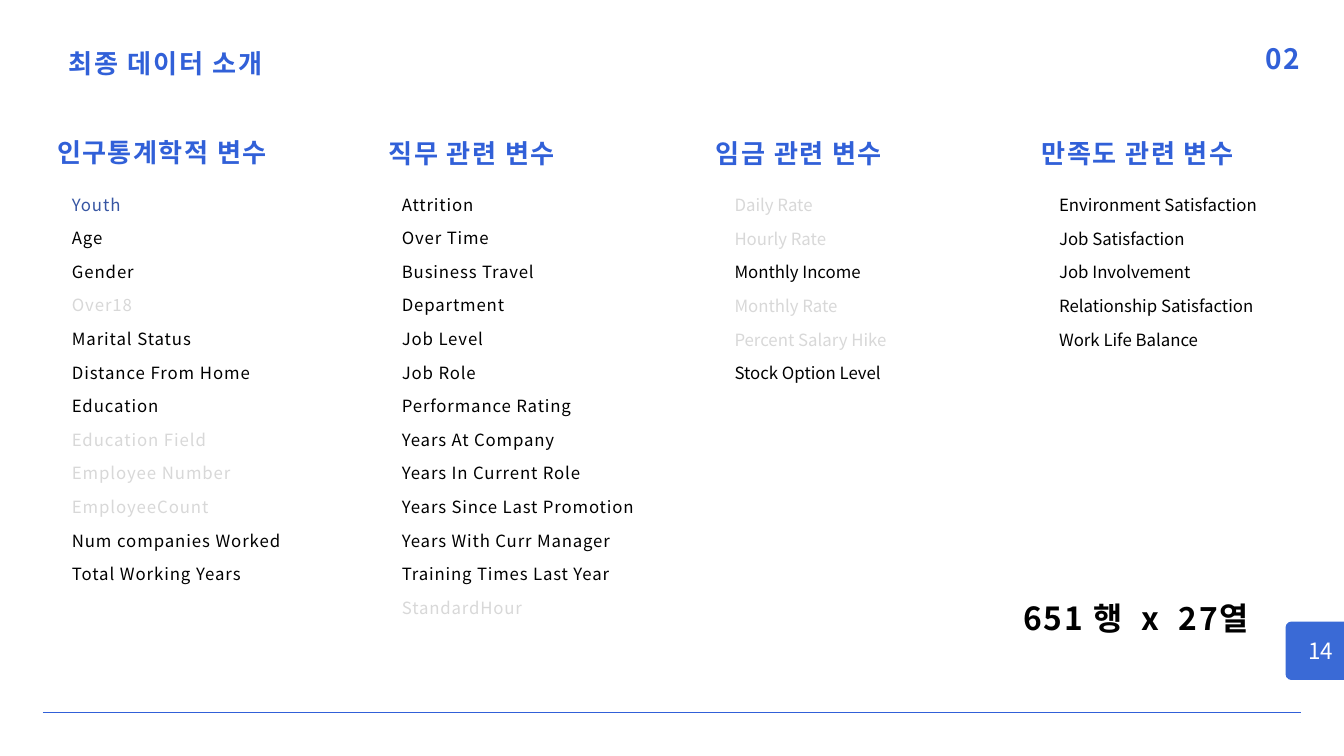
from pptx import Presentation
from pptx.dml.color import RGBColor
from pptx.enum.shapes import MSO_CONNECTOR, MSO_SHAPE
from pptx.enum.text import MSO_ANCHOR, MSO_AUTO_SIZE, PP_ALIGN as Align
from pptx.oxml.ns import qn
from pptx.util import Pt
from lxml.etree import SubElement

FONT = "Noto Sans CJK KR"
COLORS = {"blue": "3160D8", "badge": "3A6AD6", "derived": "3756A3",
          "kept": "000000", "dropped": "D8D8D8", "white": "FFFFFF"}
DERIVED = {"Youth"}
DROPPED = {"Over18", "Education Field", "Employee Number", "EmployeeCount",
           "StandardHour", "Daily Rate", "Hourly Rate", "Monthly Rate",
           "Percent Salary Hike"}

# heading, heading box, items box, item letter spacing, item alignment, items
COLUMNS = [
    ("인구통계학적 변수", (28.8, 146.9, 289.4, 34.6), (77, 193.7, 301, 430),
     1, Align.LEFT,
     ["Youth", "Age", "Gender", "Over18", "Marital Status",
      "Distance From Home", "Education", "Education Field", "Employee Number",
      "EmployeeCount", "Num companies Worked", "Total Working Years"]),
    ("직무 관련 변수", (380, 148.3, 251, 34.6), (430.6, 193.7, 304.6, 466),
     0.9, Align.LEFT,
     ["Attrition", "Over Time", "Business Travel", "Department", "Job Level",
      "Job Role", "Performance Rating", "Years At Company",
      "Years In Current Role", "Years Since Last Promotion",
      "Years With Curr Manager", "Training Times Last Year", "StandardHour"]),
    ("임금 관련 변수", (656.6, 148.3, 399, 34.6), (787, 194.4, 275.8, 213),
     0, Align.LEFT,
     ["Daily Rate", "Hourly Rate", "Monthly Income", "Monthly Rate",
      "Percent Salary Hike", "Stock Option Level"]),
    ("만족도 관련 변수", (1019.5, 148.3, 399, 34.6), (1134.7, 194.4, 286.6, 177),
     0, Align.JUSTIFY,
     ["Environment Satisfaction", "Job Satisfaction", "Job Involvement",
      "Relationship Satisfaction", "Work Life Balance"]),
]


def rgb(name):
    return RGBColor.from_string(COLORS[name])


def add_run(paragraph, text, size, color, bold=False, spacing=0):
    run = paragraph.add_run()
    run.text = text
    run.font.size = Pt(size)
    run.font.bold = bold
    run.font.color.rgb = rgb(color)
    run.font.name = FONT
    properties = run._r.get_or_add_rPr()
    SubElement(properties, qn("a:ea")).set("typeface", FONT)
    if spacing:
        properties.set("spc", str(round(spacing * 100)))


def format_frame(frame):
    frame.margin_left = frame.margin_top = 0
    frame.margin_right = frame.margin_bottom = 0
    frame.word_wrap = True
    frame.auto_size = MSO_AUTO_SIZE.NONE
    frame.vertical_anchor = MSO_ANCHOR.TOP


def add_lines(slide, box, lines, leading, align=Align.LEFT):
    """Add a text box; each line is a list of add_run argument tuples."""
    frame = slide.shapes.add_textbox(*map(Pt, box)).text_frame
    format_frame(frame)
    for index, runs in enumerate(lines):
        paragraph = frame.add_paragraph() if index else frame.paragraphs[0]
        paragraph.alignment = align
        paragraph.line_spacing = Pt(leading)
        for run in runs:
            add_run(paragraph, *run)


def place_title(slide, box, text):
    title = slide.shapes.title
    title.left, title.top, title.width, title.height = map(Pt, box)
    format_frame(title.text_frame)
    paragraph = title.text_frame.paragraphs[0]
    paragraph.alignment = Align.LEFT
    paragraph.line_spacing = Pt(39.6)
    add_run(paragraph, text, 28, "blue", True, 1.9)


def add_variable_column(slide, heading, heading_box, items_box, spacing,
                        align, items):
    add_lines(slide, heading_box, [[(heading, 28, "blue", True, 1.6)]],
              33, Align.CENTER)
    lines = []
    for item in items:
        color = ("derived" if item in DERIVED
                 else "dropped" if item in DROPPED else "kept")
        lines.append([(item, 18, color, False, spacing)])
    add_lines(slide, items_box, lines, 36, align)


def add_data_size(slide, box):
    """Add the row and column count, with wide gaps around the x."""
    parts = [("651 행", 1.8), (" ", 11), ("x", 1.8), (" ", 11), ("27열", 1.8)]
    runs = [(text, 34, "kept", True, spacing) for text, spacing in parts]
    add_lines(slide, box, [runs], 51, Align.CENTER)


def add_footer_line(slide, left, right, top):
    line = slide.shapes.add_connector(
        MSO_CONNECTOR.STRAIGHT, Pt(left), Pt(top), Pt(right), Pt(top))
    line.line.color.rgb = rgb("blue")
    line.line.width = Pt(1.5)
    SubElement(line._element.spPr, qn("a:effectLst"))


def add_page_badge(slide, box, number):
    badge = slide.shapes.add_shape(MSO_SHAPE.ROUNDED_RECTANGLE, *map(Pt, box))
    badge.adjustments[0] = 0.1
    badge.shadow.inherit = False
    badge.fill.solid()
    badge.fill.fore_color.rgb = rgb("badge")
    badge.line.fill.background()
    badge.text_frame.vertical_anchor = MSO_ANCHOR.MIDDLE
    paragraph = badge.text_frame.paragraphs[0]
    paragraph.alignment = Align.CENTER
    add_run(paragraph, number, 24, "white")


def main():
    presentation = Presentation()
    presentation.slide_width, presentation.slide_height = Pt(1440), Pt(810)
    slide = presentation.slides.add_slide(presentation.slide_layouts[5])
    add_footer_line(slide, 46, 1394, 763.2)
    place_title(slide, (73.4, 44.6, 308.9, 37.4), "최종 데이터 소개")
    add_lines(slide, (1170, 47.5, 223.2, 34.6),
              [[("02", 30, "blue", True, 1.6)]], 33, Align.RIGHT)
    add_data_size(slide, (1079.3, 631.4, 275.8, 47.5))
    for column in COLUMNS:
        add_variable_column(slide, *column)
    add_page_badge(slide, (1377.4, 666, 74.9, 62.6), "14")
    presentation.save("out.pptx")


if __name__ == "__main__":
    main()
